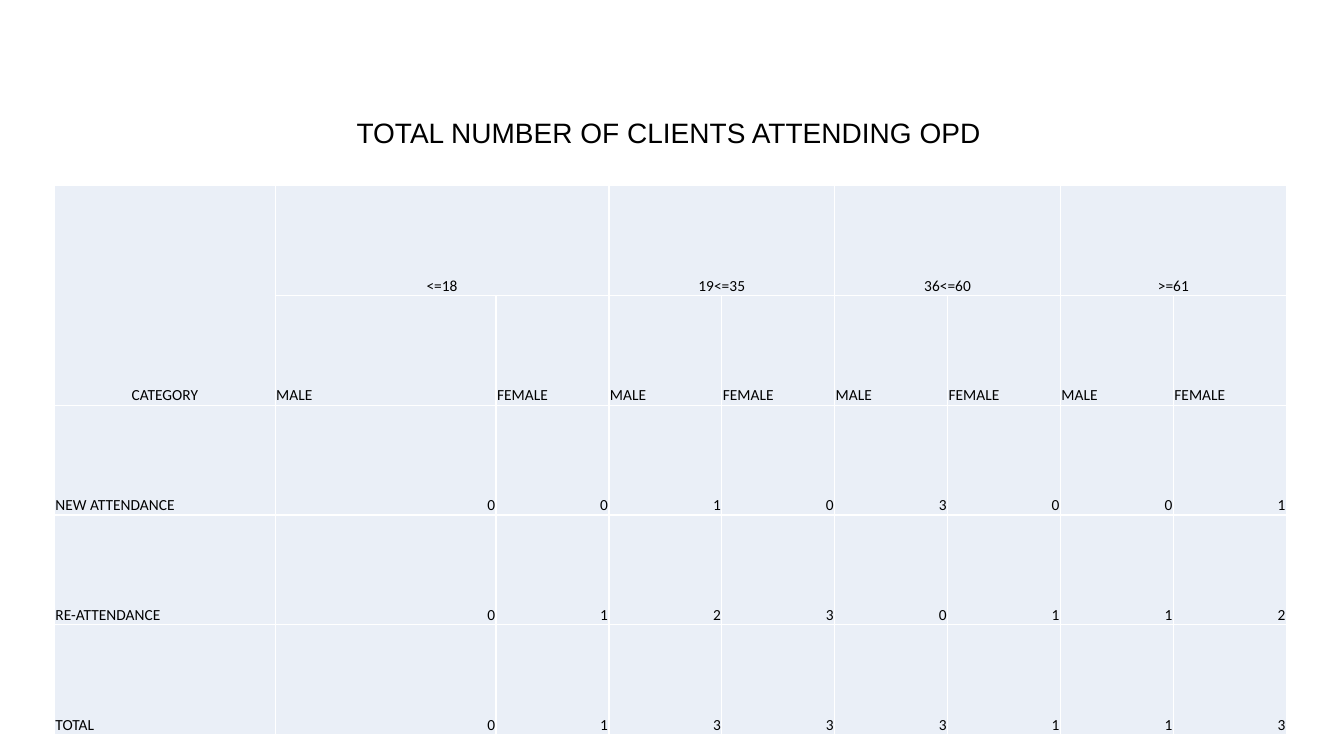
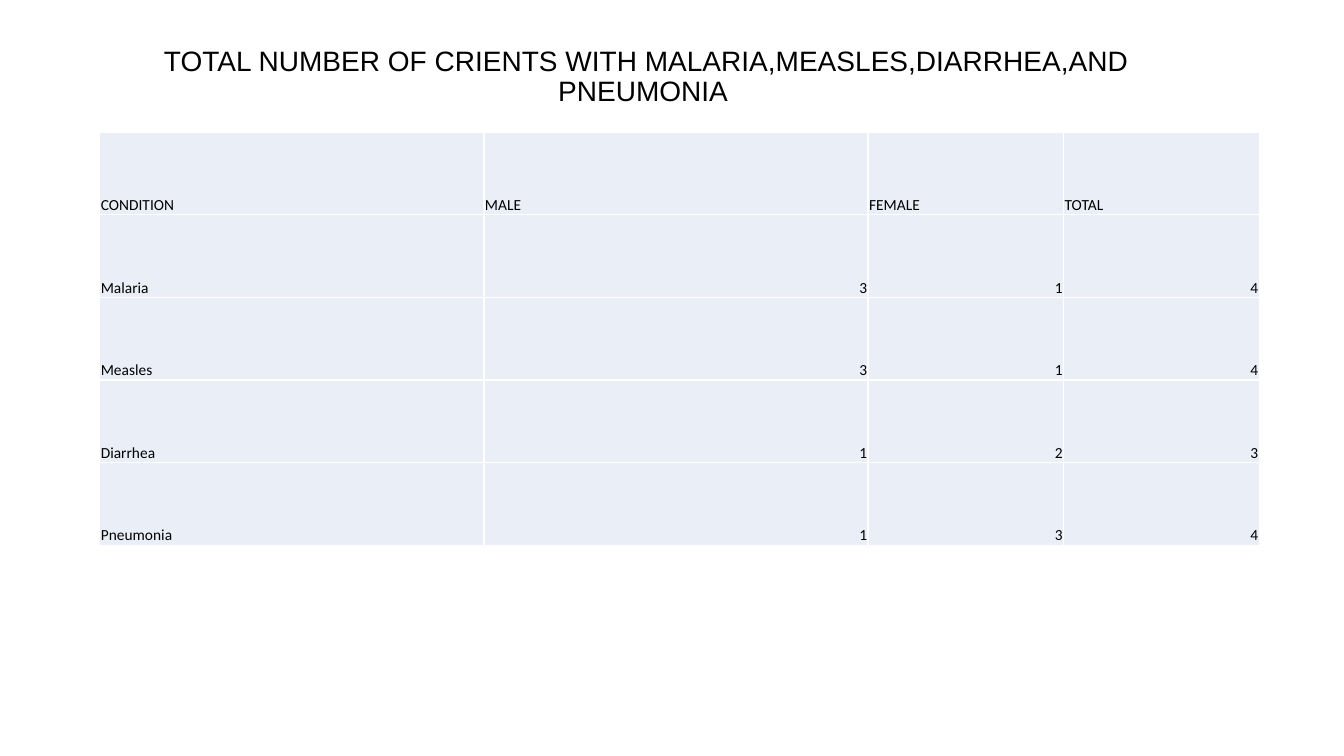
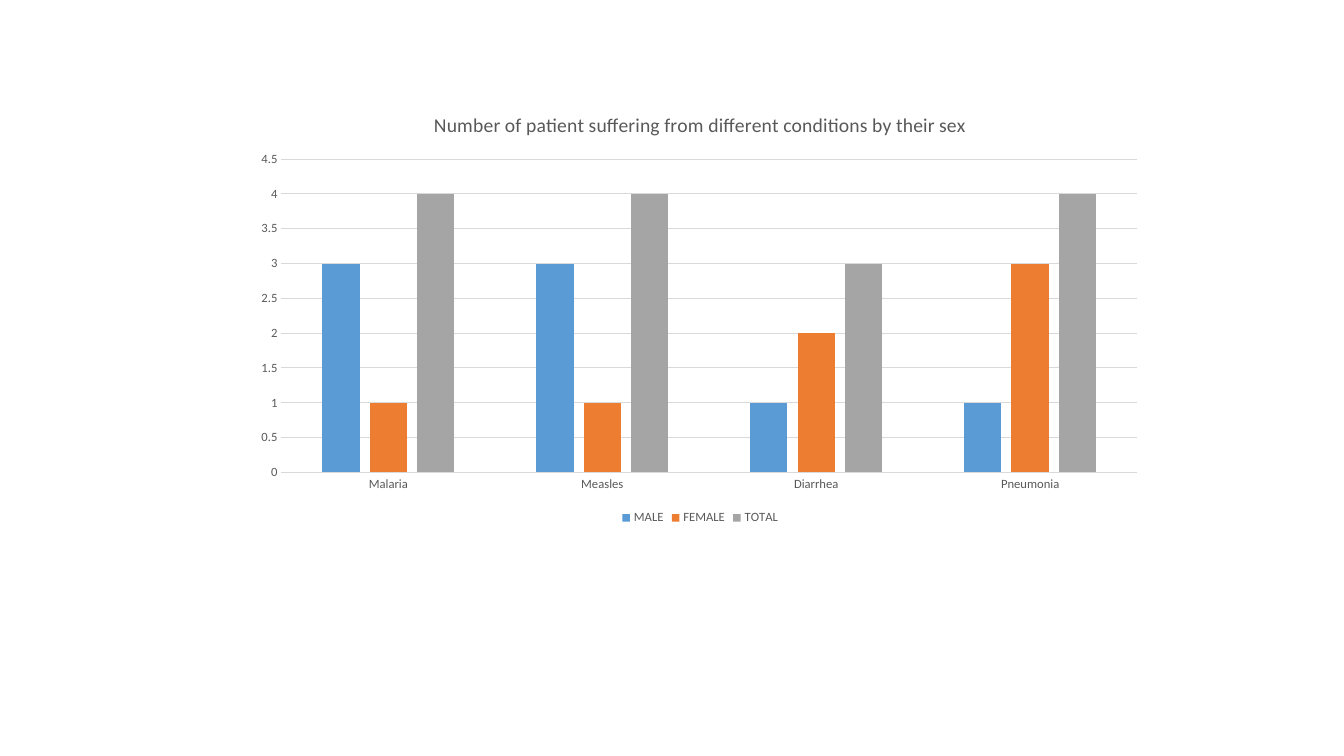
from dataclasses import dataclass

from lxml.etree import SubElement
from pptx import Presentation
from pptx.chart.chart import Chart
from pptx.chart.data import CategoryChartData
from pptx.dml.color import RGBColor
from pptx.enum.chart import XL_CHART_TYPE, XL_LEGEND_POSITION, XL_TICK_MARK
from pptx.enum.text import MSO_ANCHOR, MSO_AUTO_SIZE, PP_ALIGN
from pptx.oxml import parse_xml
from pptx.oxml.ns import nsdecls, qn
from pptx.slide import Slide
from pptx.table import _Cell
from pptx.text.text import Font, TextFrame
from pptx.util import Emu, Pt

EMU_PER_PX = 9144
SLIDE_SIZE = (1333, 750)
TITLE_ONLY, BLANK = 5, 6
COLORS = {
    "text": "000000",
    "cell": "EAEFF7",
    "border": "FFFFFF",
    "label": "595959",
    "grid": "D9D9D9",
    "MALE": "5B9BD5",
    "FEMALE": "ED7D31",
    "TOTAL": "A5A5A5",
}
AGE_GROUPS = ("<=18", "19<=35", "36<=60", ">=61")
SEXES = ("MALE", "FEMALE")
NEW_ATTENDANCE = (0, 0, 1, 0, 3, 0, 0, 1)
RE_ATTENDANCE = (0, 1, 2, 3, 0, 1, 1, 2)
CONDITIONS = {"Malaria": (3, 1), "Measles": (3, 1), "Diarrhea": (1, 2), "Pneumonia": (1, 3)}


@dataclass(frozen=True)
class Box:
    left: int
    top: int
    width: int
    height: int

    def emu(self) -> tuple[Emu, Emu, Emu, Emu]:
        return px(self.left), px(self.top), px(self.width), px(self.height)


@dataclass(frozen=True)
class Span:
    row: int
    column: int
    last_row: int
    last_column: int


@dataclass(frozen=True)
class TableSlide:
    title: str
    title_box: Box
    left: int
    top: int
    column_widths: tuple[int, ...]
    row_height: int
    rows: tuple[tuple, ...]
    spans: tuple[Span, ...] = ()


def px(length: int) -> Emu:
    return Emu(length * EMU_PER_PX)


def rgb(name: str) -> RGBColor:
    return RGBColor.from_string(COLORS[name])


def format_font(font: Font, size: float, color: str, family: str = "Calibri") -> None:
    font.size = Pt(size)
    font.name = family
    font.bold = False
    font.color.rgb = rgb(color)


def write_text(frame: TextFrame, text: str, *, size: float, color: str = "text",
               family: str = "Calibri", align: PP_ALIGN = PP_ALIGN.LEFT,
               spacing: float = 1.0) -> None:
    paragraph = frame.paragraphs[0]
    paragraph.alignment = align
    paragraph.line_spacing = spacing
    run = paragraph.add_run()
    run.text = text
    format_font(run.font, size, color, family)


def add_title(slide: Slide, text: str, box: Box) -> None:
    title = slide.shapes.title
    title.left, title.top, title.width, title.height = box.emu()
    frame = title.text_frame
    frame.word_wrap = True
    frame.auto_size = MSO_AUTO_SIZE.NONE
    frame.vertical_anchor = MSO_ANCHOR.BOTTOM
    write_text(frame, text, size=20, family="Arial", align=PP_ALIGN.CENTER, spacing=0.9)


def style_cell(cell: _Cell) -> None:
    cell.margin_left = cell.margin_right = cell.margin_top = px(1)
    cell.margin_bottom = px(0)
    cell.vertical_anchor = MSO_ANCHOR.BOTTOM
    properties = cell._tc.get_or_add_tcPr()
    for side in ("a:lnL", "a:lnR", "a:lnT", "a:lnB"):
        border = SubElement(properties, qn(side), w=str(Pt(1)))
        fill = SubElement(border, qn("a:solidFill"))
        SubElement(fill, qn("a:srgbClr"), val=COLORS["border"])
    cell.fill.solid()
    cell.fill.fore_color.rgb = rgb("cell")


def add_table_slide(deck: Presentation, content: TableSlide) -> None:
    slide = deck.slides.add_slide(deck.slide_layouts[TITLE_ONLY])
    add_title(slide, content.title, content.title_box)
    row_count = len(content.rows)
    box = Box(content.left, content.top, sum(content.column_widths),
              row_count * content.row_height)
    table = slide.shapes.add_table(row_count, len(content.column_widths), *box.emu()).table
    table.first_row = table.horz_banding = False
    for column, width in zip(table.columns, content.column_widths):
        column.width = px(width)
    for row in table.rows:
        row.height = px(content.row_height)
    for span in content.spans:
        table.cell(span.row, span.column).merge(table.cell(span.last_row, span.last_column))
    for row_index, values in enumerate(content.rows):
        for column_index, value in enumerate(values):
            cell = table.cell(row_index, column_index)
            style_cell(cell)
            if value is None:
                continue
            align = PP_ALIGN.RIGHT if isinstance(value, int) else PP_ALIGN.LEFT
            if cell.is_merge_origin:
                align = PP_ALIGN.CENTER
            write_text(cell.text_frame, str(value), size=11, align=align)


def place_plot(chart: Chart, x: float, y: float, w: float, h: float) -> None:
    plot_area = chart.element.find(".//" + qn("c:plotArea"))
    for automatic in plot_area.findall(qn("c:layout")):
        plot_area.remove(automatic)
    sizes = "".join(f'<c:{key} val="{value}"/>'
                    for key, value in (("x", x), ("y", y), ("w", w), ("h", h)))
    plot_area.insert(0, parse_xml(
        f'<c:layout {nsdecls("c")}><c:manualLayout><c:layoutTarget val="inner"/>'
        f'<c:xMode val="edge"/><c:yMode val="edge"/>{sizes}</c:manualLayout></c:layout>'))


def add_chart_slide(deck: Presentation, title: str, box: Box) -> None:
    slide = deck.slides.add_slide(deck.slide_layouts[BLANK])
    patients = CategoryChartData()
    patients.categories = list(CONDITIONS)
    for index, sex in enumerate(SEXES):
        patients.add_series(sex, [counts[index] for counts in CONDITIONS.values()])
    patients.add_series("TOTAL", [sum(counts) for counts in CONDITIONS.values()])
    chart = slide.shapes.add_chart(XL_CHART_TYPE.COLUMN_CLUSTERED, *box.emu(), patients).chart
    format_font(chart.font, 10, "text")
    chart.has_title = True
    write_text(chart.chart_title.text_frame, title, size=14, color="label",
               align=PP_ALIGN.CENTER)
    chart.has_legend = True
    chart.legend.position = XL_LEGEND_POSITION.BOTTOM
    chart.legend.include_in_layout = False
    format_font(chart.legend.font, 9, "label")

    columns = chart.plots[0]
    columns.gap_width = 219
    columns.overlap = -27
    columns.vary_by_categories = False
    for series in columns.series:
        series.format.fill.solid()
        series.format.fill.fore_color.rgb = rgb(series.name)

    counts_axis, conditions_axis = chart.value_axis, chart.category_axis
    for axis in (counts_axis, conditions_axis):
        axis.major_tick_mark = axis.minor_tick_mark = XL_TICK_MARK.NONE
        format_font(axis.tick_labels.font, 9, "label")
    counts_axis.minimum_scale = 0
    counts_axis.maximum_scale = 4.5
    counts_axis.major_unit = 0.5
    counts_axis.format.line.fill.background()
    for line in (counts_axis.major_gridlines.format.line, conditions_axis.format.line):
        line.color.rgb = rgb("grid")
        line.width = Pt(0.75)
    place_plot(chart, 0.04, 0.15, 0.94, 0.72)


def attendance_slide() -> TableSlide:
    age_header = [cell for group in AGE_GROUPS for cell in (group, None)]
    totals = [new + again for new, again in zip(NEW_ATTENDANCE, RE_ATTENDANCE)]
    age_spans = [Span(0, column, 0, column + 1)
                 for column in range(1, 2 * len(AGE_GROUPS), 2)]
    return TableSlide(
        title="TOTAL NUMBER OF CLIENTS ATTENDING OPD ",
        title_box=Box(167, 59, 1000, 94),
        left=54,
        top=184,
        column_widths=(219,) * 2 + (112,) * 7,
        row_height=109,
        rows=(
            ("CATEGORY", *age_header),
            (None, *SEXES * len(AGE_GROUPS)),
            ("NEW ATTENDANCE", *NEW_ATTENDANCE),
            ("RE-ATTENDANCE", *RE_ATTENDANCE),
            ("TOTAL", *totals),
        ),
        spans=(Span(0, 0, 1, 0), *age_spans),
    )


def conditions_slide() -> TableSlide:
    return TableSlide(
        title="TOTAL NUMBER OF CRIENTS WITH MALARIA,MEASLES,DIARRHEA,AND PNEUMONIA ",
        title_box=Box(141, 40, 1000, 72),
        left=99,
        top=131,
        column_widths=(381,) * 2 + (194,) * 2,
        row_height=82,
        rows=(
            ("CONDITION", *SEXES, "TOTAL"),
            *((name, *counts, sum(counts)) for name, counts in CONDITIONS.items()),
        ),
    )


def main() -> None:
    deck = Presentation()
    deck.slide_width, deck.slide_height = map(px, SLIDE_SIZE)
    add_table_slide(deck, attendance_slide())
    add_table_slide(deck, conditions_slide())
    add_chart_slide(deck, "Number of patient suffering from different conditions by their sex",
                    Box(243, 93, 903, 432))
    deck.save("out.pptx")


if __name__ == "__main__":
    main()
